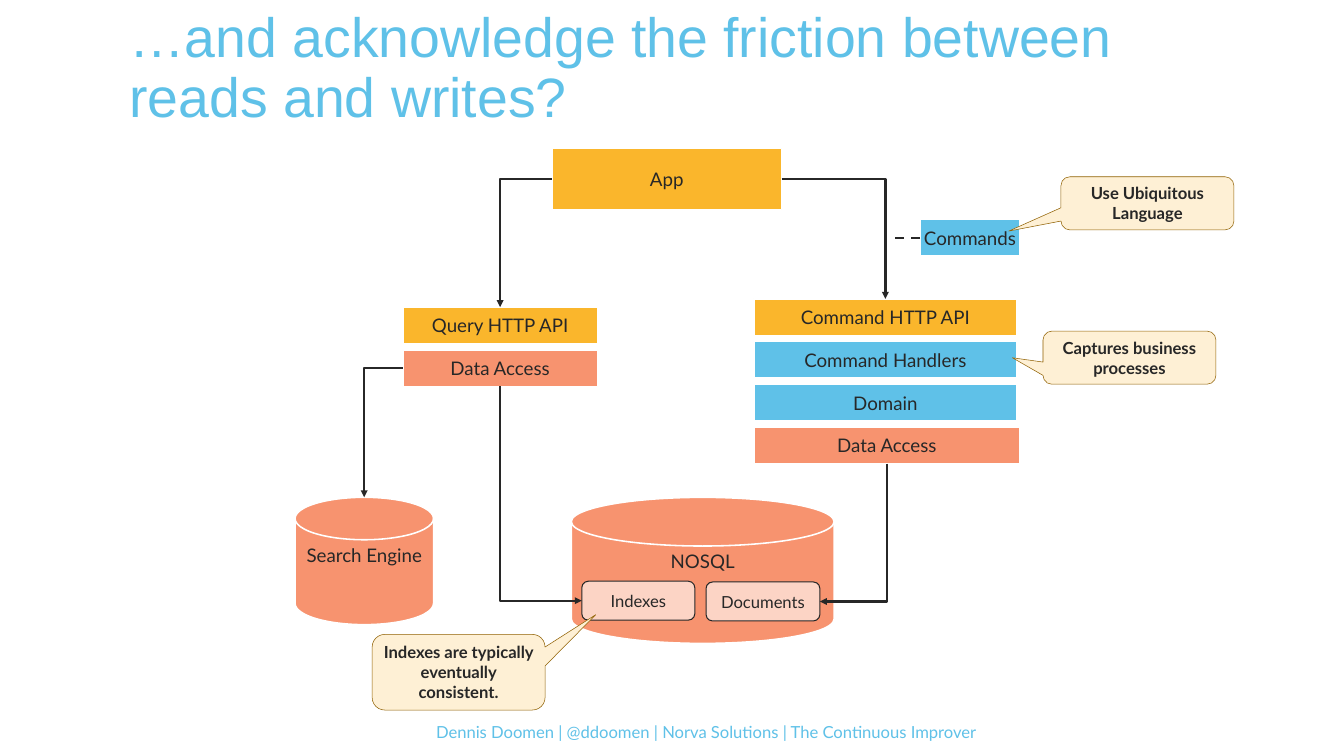
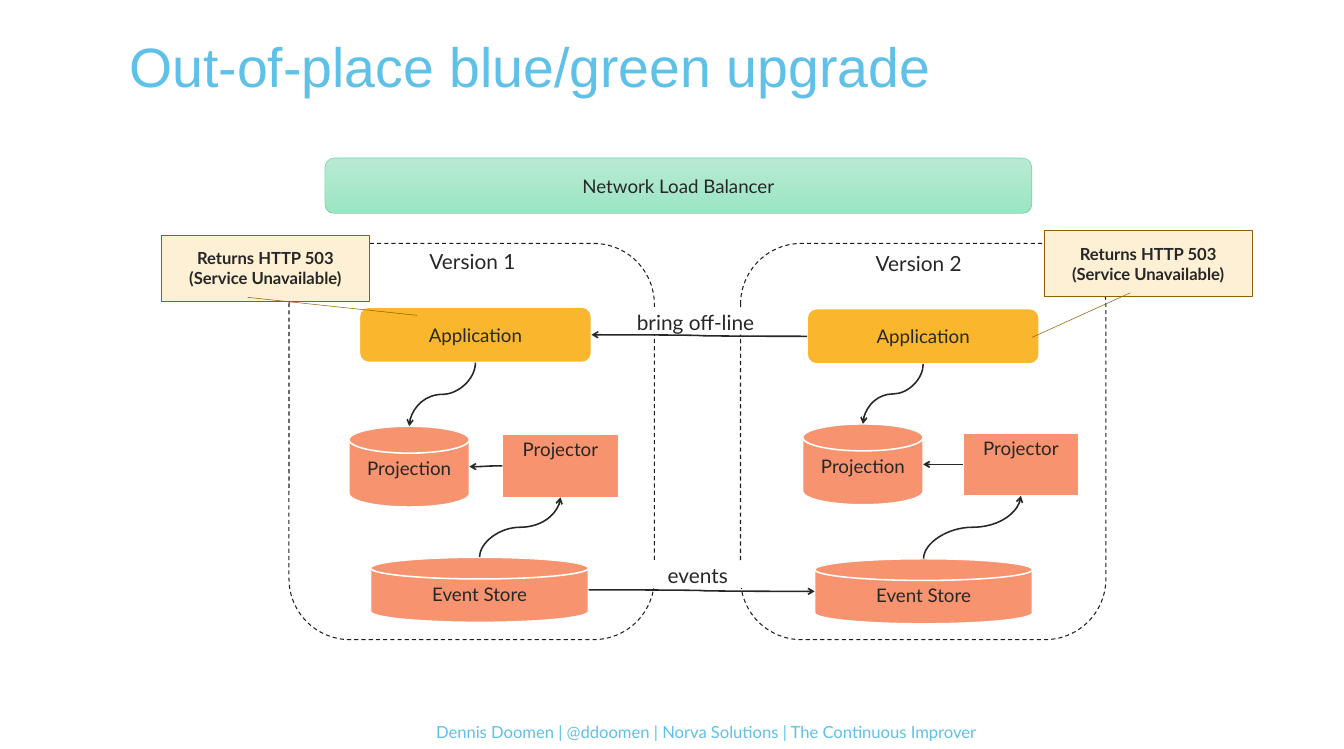
from lxml import etree
from pptx import Presentation
from pptx.dml.color import RGBColor
from pptx.enum.dml import MSO_LINE
from pptx.enum.shapes import MSO_CONNECTOR, MSO_SHAPE
from pptx.enum.text import MSO_ANCHOR, PP_ALIGN
from pptx.oxml.ns import qn
from pptx.util import Inches, Pt

RECT, ROUND = MSO_SHAPE.RECTANGLE, MSO_SHAPE.ROUNDED_RECTANGLE
DISK = MSO_SHAPE.FLOWCHART_MAGNETIC_DISK
SOFT = MSO_SHAPE.FLOWCHART_ALTERNATE_PROCESS
BUBBLE = MSO_SHAPE.ROUNDED_RECTANGULAR_CALLOUT
POINTER = MSO_SHAPE.LINE_CALLOUT_1
STRAIGHT, ELBOW, CURVE = MSO_CONNECTOR.STRAIGHT, MSO_CONNECTOR.ELBOW, MSO_CONNECTOR.CURVE
DASH = MSO_LINE.DASH
TOP, MIDDLE = MSO_ANCHOR.TOP, MSO_ANCHOR.MIDDLE
LEFT, CENTER = PP_ALIGN.LEFT, PP_ALIGN.CENTER

WIDTH, HEIGHT = 17.95, 10
BLUE, AMBER, CORAL, BLUSH = "5FC1E8", "FAB62C", "F7936F", "FCD4C5"
CREAM, BRONZE, INK, FRAME, WHITE = "FEF0D5", "906103", "272727", "1D1D1D", "FFFFFF"
MINT_LIGHT, MINT, MINT_EDGE = "B8EAD3", "9BE5C3", "6BD6A9"

FOOTER = "Dennis Doomen | @ddoomen | Norva Solutions | The Continuous Improver"
TITLE_BOX = (1.23, -0.04, 15.48, 1.93)
FOOTER_BOX = (1.5, 9.62, 15.47, 0.34)

CQRS_TITLE = "…and acknowledge the friction between reads and writes?"
LAYER_H, LAYER_STEP = 0.49, 0.57
LAYERS = [
    (10.07, 3.99, [("command api", "Command HTTP API", AMBER, 3.51),
                   ("handlers", "Command Handlers", BLUE, 3.51),
                   ("domain", "Domain", BLUE, 3.51),
                   ("command data", "Data Access", CORAL, 3.55)]),
    (5.38, 4.1, [("query api", "Query HTTP API", AMBER, 2.6),
                 ("query data", "Data Access", CORAL, 2.6)]),
]
STORES = [("nosql", "NOSQL", (7.63, 6.64, 3.51, 1.95)),
          ("search", "Search Engine", (3.94, 6.64, 1.85, 1.7))]
STORE_PARTS = [("indexes", "Indexes", (7.77, 7.76, 1.51, 0.52)),
               ("documents", "Documents", (9.43, 7.77, 1.52, 0.52))]
FLOWS = [("app", "right", "command api", "top", False),
         ("app", "left", "query api", "top", False),
         ("command data", "bottom", "documents", "right", True),
         ("query data", "bottom", "indexes", "left", True),
         ("query data", "left", "search", "top", False)]
REMARKS = [("Use Ubiquitous Language", (14.17, 2.36, 2.31, 0.71), (-0.802, 0.522, 0.167)),
           ("Captures business processes", (13.93, 4.42, 2.31, 0.71), (-0.677, 0.002, 0.167)),
           ("Indexes are typically eventually consistent.", (4.97, 8.47, 2.31, 1.01),
            (0.793, -0.761, 0.167))]

UPGRADE_TITLE = "Out-of-place blue/green upgrade"
BALANCER = ("Network Load Balancer", (4.34, 2.11, 9.44, 0.74))
FRAME_SIZE, FRAME_TOP, FRAME_LEFTS = (4.88, 5.29), 3.25, (3.86, 9.89)
PARTS = [("Application", SOFT, AMBER, MIDDLE, (3.1, 0.74), [(4.8, 4.1), (10.78, 4.12)]),
         ("Projection", DISK, CORAL, TOP, (1.61, 1.08), [(4.66, 5.69), (10.72, 5.66)]),
         ("Projector", RECT, CORAL, TOP, (1.55, 0.84), [(6.71, 5.8), (12.86, 5.78)]),
         ("Event Store", DISK, CORAL, TOP, (2.91, 0.87), [(4.95, 7.44), (10.88, 7.46)])]
LABEL_SIZE = (2.06, 0.34)
LABELS = [("Version 1", (5.28, 3.32)), ("Version 2", (11.24, 3.35)),
          ("events", (8.29, 7.51)), ("bring off-line", (8.26, 4.13))]
STEPS = [("Application", "bottom", "Projection", "top", True),
         ("Projector", "left", "Projection", "right", False),
         ("Event Store", "top", "Projector", "bottom", True)]
HANDOVERS = [(("Event Store", 0), "right", ("Event Store", 1), "left"),
             (("Application", 1), "left", ("Application", 0), "right")]
OUTAGE = "Returns HTTP 503\n(Service Unavailable)"
OUTAGES = [((2.16, 3.14, 2.77, 0.88), (0.943, 0.414, 1.216, 1.231)),
           ((13.95, 3.08, 2.77, 0.88), (0.943, 0.414, 1.619, -0.06))]


def rgb(color):
    return RGBColor.from_string(color)


def write(shape, text, size, color=INK, font="Lato", bold=False, anchor=MIDDLE,
          align=CENTER, inset=None, indent=0, spacing=None):
    frame = shape.text_frame
    frame.word_wrap = True
    frame.vertical_anchor = anchor
    if inset is not None:
        frame.margin_left = frame.margin_right = Inches(inset)
        frame.margin_top = frame.margin_bottom = Inches(inset)
    paragraph = frame.paragraphs[0]
    paragraph.alignment = align
    if indent:
        properties = paragraph._p.get_or_add_pPr()
        properties.set("marL", str(Inches(indent)))
        properties.set("indent", "0")
    if spacing:
        paragraph.line_spacing = spacing
    for number, line in enumerate(text.split("\n")):
        if number:
            paragraph.add_line_break()
        run = paragraph.add_run()
        run.text = line
        run.font.size, run.font.name, run.font.bold = Pt(size), font, bold
        run.font.color.rgb = rgb(color)


def block(slide, kind, box, fill=None, edge=WHITE, weight=1.5, adjust=()):
    shape = slide.shapes.add_shape(kind, *map(Inches, box))
    shape.shadow.inherit = False
    for number, value in enumerate(adjust):
        shape.adjustments[number] = value
    if fill:
        shape.fill.solid()
        shape.fill.fore_color.rgb = rgb(fill)
    else:
        shape.fill.background()
    if edge:
        shape.line.color.rgb = rgb(edge)
        shape.line.width = Pt(weight)
    else:
        shape.line.fill.background()
    return shape


def remark(slide, kind, text, box, adjust):
    write(block(slide, kind, box, CREAM, BRONZE, 0.5, adjust), text, 16, bold=True)


def side_point(box, side):
    left, top, width, height = box
    across, down = {"left": (0, 0.5), "right": (1, 0.5),
                    "top": (0.5, 0), "bottom": (0.5, 1)}[side]
    return left + width * across, top + height * down


def connect(slide, kind, start, end, weight, arrow=None, vertical=False):
    (x1, y1), (x2, y2) = start, end
    if vertical:
        cx, cy, dx, dy = (x1 + x2) / 2, (y1 + y2) / 2, x2 - x1, y2 - y1
        x1, y1, x2, y2 = cx - dy / 2, cy + dx / 2, cx + dy / 2, cy - dx / 2
    link = slide.shapes.add_connector(kind, *map(Inches, (x1, y1, x2, y2)))
    link.line.color.rgb = rgb(INK)
    link.line.width = Pt(weight)
    properties = link._element.spPr
    if vertical:
        properties.find(qn("a:xfrm")).set("rot", "5400000")
    if kind == ELBOW:
        properties.find(qn("a:prstGeom")).set("prst", "bentConnector2")
    if arrow:
        etree.SubElement(link.line._get_or_add_ln(), qn("a:tailEnd")).set("type", arrow)
    etree.SubElement(properties, qn("a:effectLst"))
    return link


def new_slide(deck, title):
    slide = deck.slides.add_slide(deck.slide_layouts[6])
    slide.background.fill.solid()
    slide.background.fill.fore_color.rgb = rgb(WHITE)
    footer = slide.shapes.add_textbox(*map(Inches, FOOTER_BOX))
    write(footer, FOOTER, 16, BLUE, anchor=TOP, indent=0.4, spacing=0.9)
    heading = slide.shapes.add_textbox(*map(Inches, TITLE_BOX))
    write(heading, title, 53.3, BLUE, "Arial", align=LEFT, indent=0.4, spacing=0.9)
    return slide


def build_cqrs(deck):
    slide = new_slide(deck, CQRS_TITLE)
    boxes = {}

    def place(key, text, box, fill, inset=None):
        boxes[key] = box
        write(block(slide, RECT, box, fill), text, 18, inset=inset)

    place("app", "App", (7.37, 1.98, 3.07, 0.82), AMBER)
    place("commands", "Commands", (12.29, 2.93, 1.33, LAYER_H), BLUE, 0)
    for left, top, layers in LAYERS:
        for row, (key, text, fill, width) in enumerate(layers):
            place(key, text, (left, top + row * LAYER_STEP, width, LAYER_H), fill)
    for key, text, box in STORES:
        boxes[key] = box
        write(block(slide, DISK, box, CORAL), text, 18, anchor=TOP)
    for key, text, box in STORE_PARTS:
        boxes[key] = box
        write(block(slide, ROUND, box, BLUSH, INK, 1), text, 16)
    for source, out, target, into, vertical in FLOWS:
        connect(slide, ELBOW, side_point(boxes[source], out),
                side_point(boxes[target], into), 2.25, "triangle", vertical)
    x, y = side_point(boxes["commands"], "left")
    connect(slide, STRAIGHT, (x, y), (x - 0.42, y), 2.25).line.dash_style = DASH
    for text, box, adjust in REMARKS:
        remark(slide, BUBBLE, text, box, adjust)


def build_upgrade(deck):
    slide = new_slide(deck, UPGRADE_TITLE)
    text, box = BALANCER
    balancer = block(slide, SOFT, box, MINT, MINT_EDGE, 0.5)
    balancer.fill.gradient()
    balancer.fill.gradient_angle = 270
    for stop, color in zip(balancer.fill.gradient_stops, (MINT_LIGHT, MINT)):
        stop.color.rgb = rgb(color)
    write(balancer, text, 18)
    for left in FRAME_LEFTS:
        block(slide, ROUND, (left, FRAME_TOP, *FRAME_SIZE), None, FRAME, 1).line.dash_style = DASH
    boxes = {}
    for text, kind, fill, anchor, size, corners in PARTS:
        for version, corner in enumerate(corners):
            boxes[text, version] = corner + size
            write(block(slide, kind, corner + size, fill), text, 18, anchor=anchor)
    for text, corner in LABELS:
        write(block(slide, RECT, corner + LABEL_SIZE, WHITE, None), text, 20, anchor=TOP, inset=0)
    for version in range(len(FRAME_LEFTS)):
        for source, out, target, into, vertical in STEPS:
            connect(slide, CURVE, side_point(boxes[source, version], out),
                    side_point(boxes[target, version], into), 1.5, "arrow", vertical)
    for source, out, target, into in HANDOVERS:
        connect(slide, CURVE, side_point(boxes[source], out),
                side_point(boxes[target], into), 1.5, "arrow")
    for box, adjust in OUTAGES:
        remark(slide, POINTER, OUTAGE, box, adjust)


def main():
    deck = Presentation()
    deck.slide_width, deck.slide_height = Inches(WIDTH), Inches(HEIGHT)
    build_cqrs(deck)
    build_upgrade(deck)
    deck.save("out.pptx")


if __name__ == "__main__":
    main()
